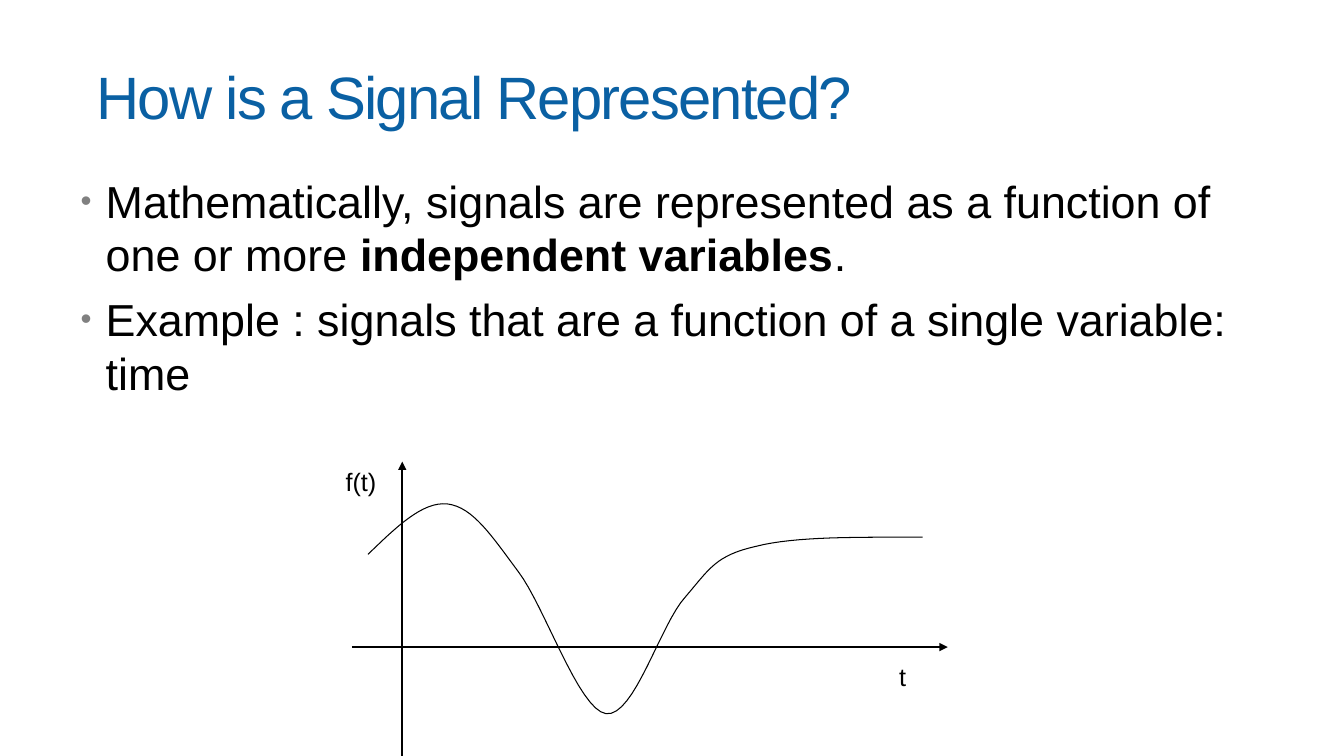
import pptx
import pptx.util
import pptx.dml.color
import pptx.enum.shapes
import pptx.enum.text
import pptx.oxml
import pptx.oxml.ns
from lxml import etree
from pptx.util import Inches

theme = {
    "font": "Arial", "title": "0A60A3", "ink": "000000", "bullet": "808080",
    "title_size": 42.7, "body_size": 32, "label_size": 18,
    "axis_width": 1.5, "curve_width": 0.75,
}

deck = pptx.Presentation()
deck.slide_width = Inches(13.33)
deck.slide_height = Inches(7.5)
page = deck.slides.add_slide(deck.slide_layouts[6])


def add_box(left, top, width, height, wrap=True):
    box = page.shapes.add_textbox(Inches(left), Inches(top), Inches(width), Inches(height))
    box.text_frame.word_wrap = wrap
    return box.text_frame


def add_span(para, text, size, color, bold=False):
    span = para.add_run()
    span.text = text
    span.font.name = theme["font"]
    span.font.size = pptx.util.Pt(size)
    span.font.bold = bold
    span.font.color.rgb = pptx.dml.color.RGBColor.from_string(color)
    return span


title = add_box(0.86, 0.42, 11.91, 1.05)
title.vertical_anchor = pptx.enum.text.MSO_ANCHOR.MIDDLE
heading = add_span(title.paragraphs[0], "How is a Signal Represented?", theme["title_size"], theme["title"])
heading.font._element.set("spc", "-130")

points = [
    [("Mathematically, signals are represented as a function of one or more ", False),
     ("independent variables", True), (".", False)],
    [("Example : signals that are a function of a single variable: time", False)],
]
body = add_box(0.7, 1.67, 11.91, 5.08)
for index, point in enumerate(points):
    para = body.add_paragraph() if index else body.paragraphs[0]
    props = para._p.get_or_add_pPr()
    props.set("marL", str(Inches(0.25)))
    props.set("indent", str(-Inches(0.25)))
    bullet_color = etree.SubElement(props, pptx.oxml.ns.qn("a:buClr"))
    etree.SubElement(bullet_color, pptx.oxml.ns.qn("a:srgbClr"), val=theme["bullet"])
    etree.SubElement(props, pptx.oxml.ns.qn("a:buSzPct"), val="70000")
    etree.SubElement(props, pptx.oxml.ns.qn("a:buFont"), typeface=theme["font"])
    etree.SubElement(props, pptx.oxml.ns.qn("a:buChar"), char="•")
    if index:
        para.space_before = pptx.util.Pt(7.6)
    for text, bold in point:
        add_span(para, text, theme["body_size"], theme["ink"], bold)

ink = pptx.dml.color.RGBColor.from_string(theme["ink"])
for x1, y1, x2, y2 in [(3.49, 6.42, 9.4, 6.42), (3.99, 7.5, 3.99, 4.58)]:
    axis = page.shapes.add_connector(
        pptx.enum.shapes.MSO_CONNECTOR.STRAIGHT, Inches(x1), Inches(y1), Inches(x2), Inches(y2))
    axis.line.color.rgb = ink
    axis.line.width = pptx.util.Pt(theme["axis_width"])
    etree.SubElement(axis.line._get_or_add_ln(), pptx.oxml.ns.qn("a:tailEnd"), type="triangle")
    etree.SubElement(axis._element.spPr, pptx.oxml.ns.qn("a:effectLst"))

for text, left, top, width in [("t", 8.82, 6.51, 0.31), ("f(t)", 3.33, 4.58, 0.57)]:
    label = add_box(left, top, width, 0.4, wrap=False)
    label.auto_size = pptx.enum.text.MSO_AUTO_SIZE.SHAPE_TO_FIT_TEXT
    add_span(label.paragraphs[0], text, theme["label_size"], theme["ink"])

start = (3.65, 5.5)
bends = [
    ((3.92, 5.24), (4.19, 4.97), (4.44, 5)),
    ((4.69, 5.03), (4.88, 5.32), (5.14, 5.67)),
    ((5.4, 6.01), (5.74, 7.04), (6.01, 7.08)),
    ((6.29, 7.12), (6.55, 6.19), (6.8, 5.92)),
    ((7.04, 5.64), (7.1, 5.51), (7.5, 5.42)),
    ((7.89, 5.32), (8.52, 5.33), (9.15, 5.33)),
]
steps = 16
curve_points = []
anchor = start
for first, second, end in bends:
    for step in range(1, steps + 1):
        t = step / steps
        weights = ((1 - t) ** 3, 3 * t * (1 - t) ** 2, 3 * t ** 2 * (1 - t), t ** 3)
        corners = (anchor, first, second, end)
        curve_points.append(tuple(
            Inches(sum(weight * corner[side] for weight, corner in zip(weights, corners)))
            for side in (0, 1)))
    anchor = end
builder = page.shapes.build_freeform(Inches(start[0]), Inches(start[1]))
builder.add_line_segments(curve_points, close=False)
signal = builder.convert_to_shape()
signal.shadow.inherit = False
signal.fill.background()
signal.line.color.rgb = ink
signal.line.width = pptx.util.Pt(theme["curve_width"])

deck.save("out.pptx")
